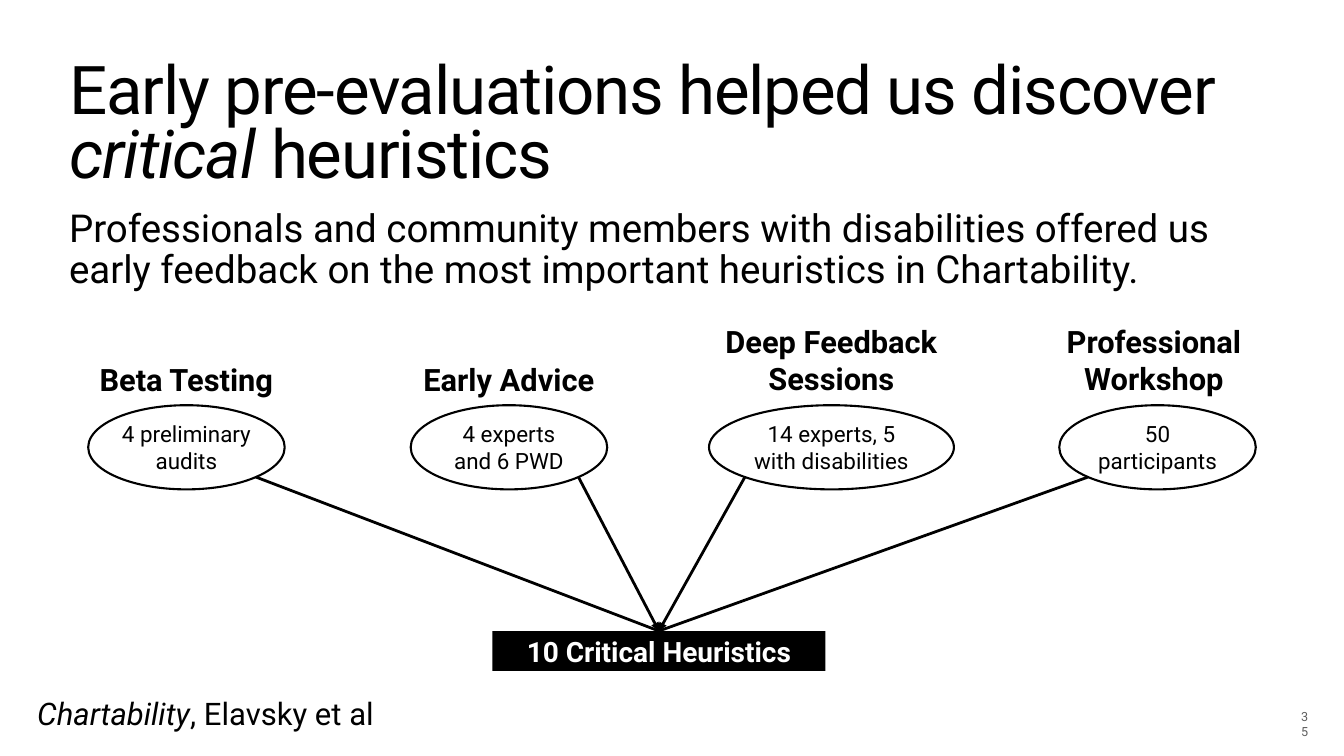
from dataclasses import dataclass
from math import sqrt

from lxml.etree import SubElement
from pptx import Presentation
from pptx.dml.color import RGBColor
from pptx.enum.shapes import MSO_CONNECTOR, MSO_SHAPE
from pptx.enum.text import MSO_ANCHOR, MSO_AUTO_SIZE, PP_ALIGN
from pptx.oxml.ns import qn
from pptx.shapes.autoshape import Shape
from pptx.slide import Slide
from pptx.util import Inches, Pt

BLACK = RGBColor(0x00, 0x00, 0x00)
WHITE = RGBColor(0xFF, 0xFF, 0xFF)
GREY = RGBColor(0x5E, 0x5E, 0x5E)
FONT_NAME = "Roboto"

OVAL_TOP, OVAL_HEIGHT = 8.04, 1.67
HEADING_WIDTH, HEADING_BOTTOM = 4.86, 7.94
RESULT_LEFT, RESULT_TOP, RESULT_WIDTH, RESULT_HEIGHT = 9.77, 12.52, 6.61, 0.79

CENTRED_FRAME = {"vertical_anchor": MSO_ANCHOR.MIDDLE, "auto_size": MSO_AUTO_SIZE.SHAPE_TO_FIT_TEXT}
BOTTOM_FRAME = {**CENTRED_FRAME, "vertical_anchor": MSO_ANCHOR.BOTTOM}
TOP_FRAME = {"vertical_anchor": MSO_ANCHOR.TOP, "auto_size": MSO_AUTO_SIZE.NONE}
CENTRED = {"alignment": PP_ALIGN.CENTER}
LEFT = {"alignment": PP_ALIGN.LEFT, "space_before": Pt(0)}


@dataclass
class Run:
    text: str
    italic: bool = False


@dataclass
class Source:
    heading: str
    detail: str
    heading_left: float
    heading_height: float
    oval_left: float
    oval_width: float
    side: int
    arrow: bool

    @property
    def line_start(self) -> tuple[float, float]:
        reach = 1 / sqrt(2)
        return (
            self.oval_left + self.oval_width / 2 * (1 + self.side * reach),
            OVAL_TOP + OVAL_HEIGHT / 2 * (1 + reach),
        )


SOURCES = [
    Source("Beta Testing", "4 preliminary audits", 1.27, 0.85, 1.75, 3.9, 1, False),
    Source("Early Advice", "4 experts and 6 PWD", 7.67, 0.85, 8.15, 3.9, 1, True),
    Source("Deep Feedback Sessions", "14 experts, 5 with disabilities", 14.07, 1.59, 14.07, 4.86, -1, True),
    Source("Professional Workshop", "50 participants", 20.47, 1.59, 21.02, 3.9, -1, False),
]


def apply_format(target: object, values: dict) -> None:
    for name, value in values.items():
        setattr(target, name, value)


def place(shape: Shape, left: float, top: float, width: float, height: float) -> None:
    apply_format(shape, {
        "left": Inches(left), "top": Inches(top),
        "width": Inches(width), "height": Inches(height),
    })


def write(shape: Shape, runs: list[Run], size: float, frame_format: dict, paragraph_format: dict,
          inset: float = 0.06, color: RGBColor = BLACK, bold: bool = False, spacing: int = 0) -> None:
    frame = shape.text_frame
    margins = {f"margin_{side}": Inches(inset) for side in ("left", "top", "right", "bottom")}
    apply_format(frame, {"word_wrap": True, **margins, **frame_format})
    paragraph = frame.paragraphs[0]
    apply_format(paragraph, paragraph_format)
    for part in runs:
        run = paragraph.add_run()
        run.text = part.text
        apply_format(run.font, {"name": FONT_NAME, "size": Pt(size), "bold": bold, "italic": part.italic})
        run.font.color.rgb = color
        if spacing:
            run.font._element.set("spc", str(spacing))


def add_text(slide: Slide, box: tuple, runs: list[Run], size: float, frame_format: dict,
             paragraph_format: dict, **options) -> None:
    shape = slide.shapes.add_textbox(*map(Inches, box))
    write(shape, runs, size, frame_format, paragraph_format, **options)


def add_node(slide: Slide, kind: MSO_SHAPE, box: tuple, text: str, size: float,
             filled: bool = False) -> None:
    shape = slide.shapes.add_shape(kind, *map(Inches, box))
    shape.shadow.inherit = False
    if filled:
        shape.fill.solid()
        shape.fill.fore_color.rgb = BLACK
        shape.line.fill.background()
    else:
        shape.fill.background()
        shape.line.color.rgb = BLACK
        shape.line.width = Pt(3)
    write(shape, [Run(text)], size, CENTRED_FRAME, CENTRED,
          color=WHITE if filled else BLACK, bold=filled)


def add_line(slide: Slide, start: tuple, end: tuple, arrow: bool) -> None:
    connector = slide.shapes.add_connector(MSO_CONNECTOR.STRAIGHT, *map(Inches, start + end))
    connector.line.color.rgb = BLACK
    connector.line.width = Pt(4)
    if arrow:
        SubElement(connector.line._get_or_add_ln(), qn("a:tailEnd"), type="triangle")
    SubElement(connector._element.spPr, qn("a:effectLst"))


def fill_placeholders(slide: Slide) -> None:
    title = slide.shapes.title
    place(title, 1.32, 1.18, 24.03, 3.08)
    title_runs = [Run("Early pre-evaluations helped us discover "), Run("critical ", True), Run("heuristics")]
    write(title, title_runs, 96, TOP_FRAME, {**LEFT, "line_spacing": 0.8}, spacing=-170)

    body = slide.placeholders[1]
    place(body, 1.32, 4.1, 24.03, 1.91)
    properties = body.text_frame.paragraphs[0]._p.get_or_add_pPr()
    properties.set("marL", "0")
    properties.set("indent", "0")
    SubElement(properties, qn("a:buNone"))
    summary = ("Professionals and community members with disabilities offered us early feedback "
               "on the most important heuristics in Chartability.")
    write(body, [Run(summary)], 55, TOP_FRAME, {**LEFT, "line_spacing": 0.9}, inset=0.05)


def add_diagram(slide: Slide) -> None:
    for source in SOURCES:
        add_node(slide, MSO_SHAPE.OVAL,
                 (source.oval_left, OVAL_TOP, source.oval_width, OVAL_HEIGHT), source.detail, 32)
        heading_box = (source.heading_left, HEADING_BOTTOM - source.heading_height,
                       HEADING_WIDTH, source.heading_height)
        add_text(slide, heading_box, [Run(source.heading)], 44, CENTRED_FRAME, CENTRED, bold=True)
    add_node(slide, MSO_SHAPE.RECTANGLE, (RESULT_LEFT, RESULT_TOP, RESULT_WIDTH, RESULT_HEIGHT),
             "10 Critical Heuristics", 40, filled=True)
    target = (RESULT_LEFT + RESULT_WIDTH / 2, RESULT_TOP)
    for source in SOURCES:
        add_line(slide, source.line_start, target, source.arrow)


def main() -> None:
    presentation = Presentation()
    presentation.slide_width = Inches(26.67)
    presentation.slide_height = Inches(15)
    slide = presentation.slides.add_slide(presentation.slide_layouts[1])
    fill_placeholders(slide)
    add_text(slide, (25.76, 14.31, 0.26, 0.42), [Run("35")], 18, BOTTOM_FRAME, CENTRED, color=GREY)
    add_text(slide, (0.64, 13.82, 10.15, 0.7), [Run("Chartability", True), Run(", Elavsky et al")],
             44.4, TOP_FRAME, {**LEFT, "line_spacing": 0.8}, inset=0.1)
    add_diagram(slide)
    presentation.save("out.pptx")


if __name__ == "__main__":
    main()
